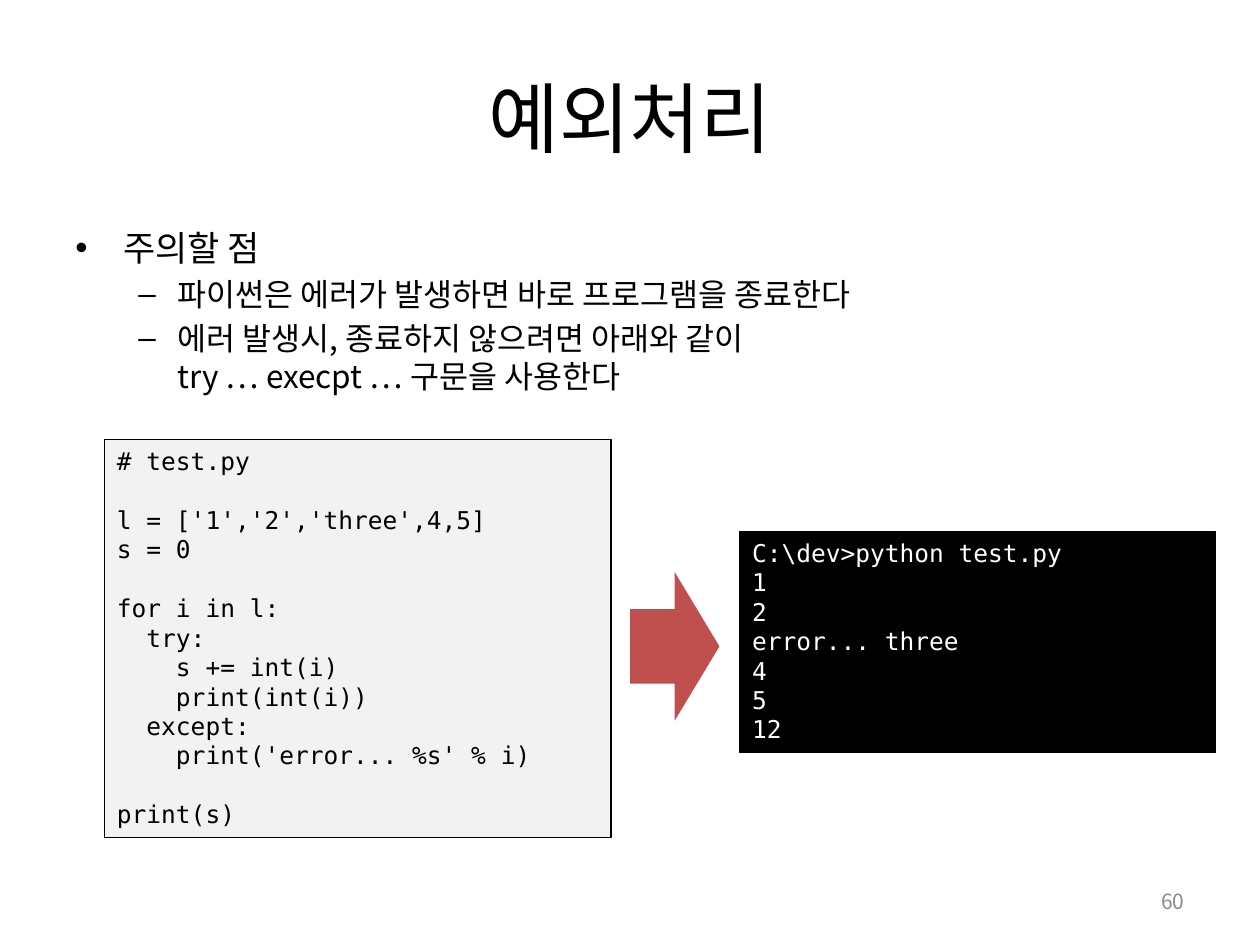
"""Build a Korean lesson slide on exception handling in Python."""
from lxml import etree
from pptx import Presentation
from pptx import util as u
from pptx.dml.color import RGBColor
from pptx.enum import shapes, text
from pptx.oxml.ns import qn

KOREAN, MONO = "Noto Sans CJK KR", "DejaVu Sans Mono"
CODE_SIZE, CODE_LINE = 14, 16.9


def color(value):
    return RGBColor.from_string(value)


def write(shape, lines, size, font, ink, align="LEFT", anchor="TOP"):
    frame = shape.text_frame
    frame.word_wrap = True
    frame.vertical_anchor = getattr(text.MSO_ANCHOR, anchor)
    for index, line in enumerate(lines):
        paragraph = frame.paragraphs[0] if index == 0 else frame.add_paragraph()
        paragraph.text = line
        paragraph.alignment = getattr(text.PP_ALIGN, align)
        for run in paragraph.runs:
            for name, value in {"size": u.Pt(size), "name": font}.items():
                setattr(run.font, name, value)
            run.font.color.rgb = color(ink)
            etree.SubElement(run.font._element, qn("a:ea"), typeface=font)
    return frame.paragraphs


presentation = Presentation()
presentation.slide_width, presentation.slide_height = u.Inches(10), u.Inches(7.5)
slide = presentation.slides.add_slide(presentation.slide_layouts[6])

labels = [
    ((0.5, 0.3, 9, 1.25), "예외처리", 44, "000000", "CENTER"),
    ((7.17, 6.95, 2.33, 0.4), "60", 12, "8C8C8C", "RIGHT"),
]
for place, label, size, ink, align in labels:
    box = slide.shapes.add_textbox(*map(u.Inches, place))
    write(box, [label], size, KOREAN, ink, align, "MIDDLE")

points = [
    (0, "주의할 점"),
    (1, "파이썬은 에러가 발생하면 바로 프로그램을 종료한다"),
    (1, "에러 발생시, 종료하지 않으려면 아래와 같이\vtry … execpt … 구문을 사용한다"),
]
levels = [("•", 20, 0.38, -0.38), ("–", 18, 0.81, -0.31)]
body = slide.shapes.add_textbox(*map(u.Inches, (0.5, 1.75, 9, 1.5)))
paragraphs = write(body, [point for _, point in points], 18, KOREAN, "000000")
for paragraph, (level, _) in zip(paragraphs, points):
    bullet, size, margin, indent = levels[level]
    paragraph.level = level
    paragraph.space_before = u.Pt(size * 0.2)
    for run in paragraph.runs:
        run.font.size = u.Pt(size)
    properties = paragraph._p.get_or_add_pPr()
    properties.set("marL", str(u.Inches(margin)))
    properties.set("indent", str(u.Inches(indent)))
    etree.SubElement(properties, qn("a:buFont"), typeface="Arial")
    etree.SubElement(properties, qn("a:buChar"), char=bullet)

code = [
    ["# test.py"],
    ["l = ['1','2','three',4,5]", "s = 0"],
    ["for i in l:", "  try:", "    s += int(i)", "    print(int(i))",
     "  except:", "    print('error... %s' % i)"],
    ["print(s)"],
]
output = [["C:\\dev>python test.py", "1", "2", "error... three", "4", "5", "12"]]
panels = [
    ((0.83, 3.49, 4.02, 3.16), "F2F2F2", "000000", code),
    ((5.87, 4.22, 3.78, 1.75), "000000", "FFFFFF", output),
]
for place, fill, ink, blocks in panels:
    panel = slide.shapes.add_shape(shapes.MSO_SHAPE.RECTANGLE, *map(u.Inches, place))
    panel.shadow.inherit = False
    panel.fill.solid()
    panel.fill.fore_color.rgb = color(fill)
    panel.line.color.rgb = color("000000")
    panel.line.width = u.Pt(0.75)
    lines = [line for block in blocks for line in block]
    paragraphs = write(panel, lines, CODE_SIZE, MONO, ink)
    start = 0
    for block in blocks[:-1]:
        start += len(block)
        paragraphs[start].space_before = u.Pt(CODE_LINE)

arrow = slide.shapes.add_shape(
    shapes.MSO_SHAPE.RIGHT_ARROW, *map(u.Inches, (5, 4.54, 0.71, 1.18)))
arrow.shadow.inherit = False
arrow.fill.solid()
arrow.fill.fore_color.rgb = color("C0504D")
arrow.line.fill.background()

presentation.save("out.pptx")
